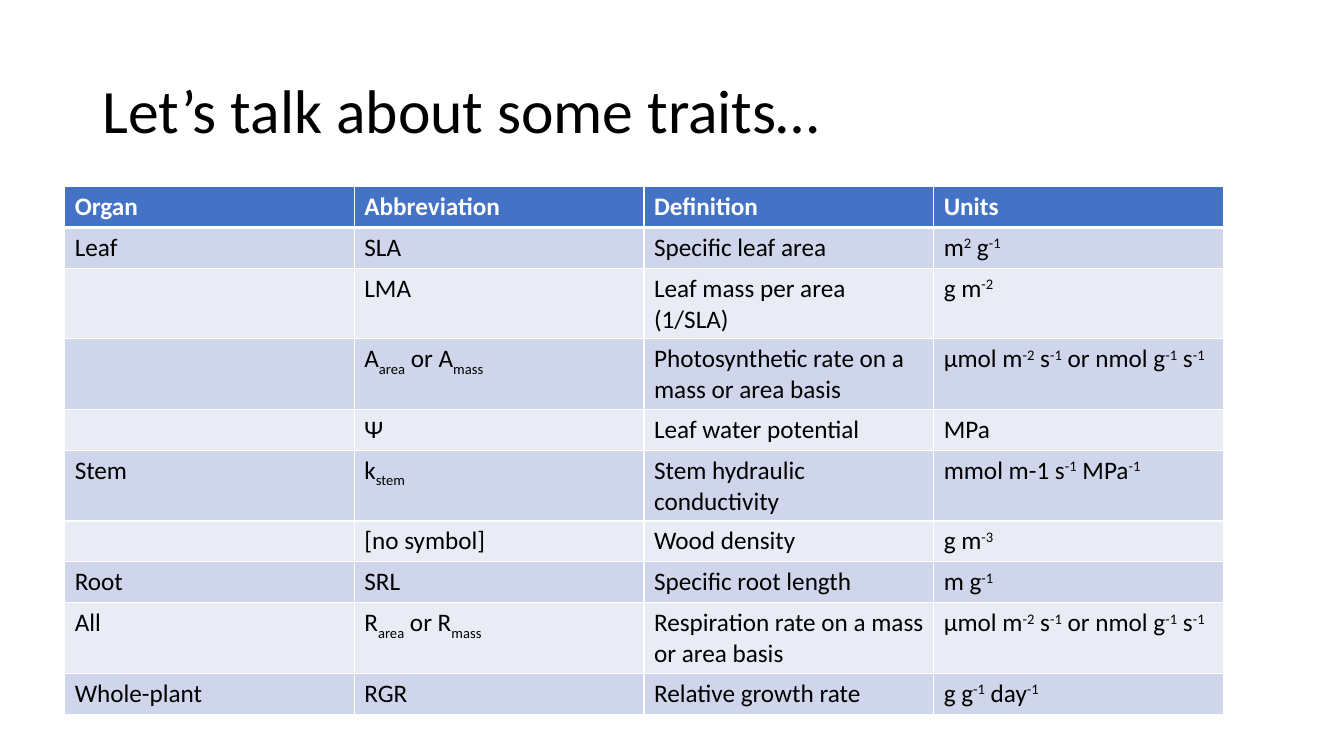
from lxml.etree import SubElement
from pptx import Presentation
from pptx.dml.color import RGBColor
from pptx.enum.text import MSO_ANCHOR
from pptx.oxml.ns import qn
from pptx.util import Cm, Pt

FONT = "Calibri"
COLORS = {
    "text": "000000",
    "header": "4472C4",
    "header_text": "FFFFFF",
    "odd_row": "CFD5EA",
    "even_row": "E9EBF5",
    "border": "FFFFFF",
}
# Baseline shift in thousandths of a percent, by marker
BASELINES = {"^": "30000", "_": "-25000"}

# Runs are split by "|"; "^" starts a superscript and "_" a subscript
RATE_UNITS = "µmol m|^-2| s|^-1| or nmol g|^-1| s|^-1"
TRAITS = [
    ("Organ", "Abbreviation", "Definition", "Units"),
    ("Leaf", "SLA", "Specific leaf area", "m|^2| g|^-1"),
    ("", "LMA", "Leaf mass per area (1/SLA)", "g m|^-2"),
    ("", "A|_area| or A|_mass", "Photosynthetic rate on a mass or area basis", RATE_UNITS),
    ("", "Ψ", "Leaf water potential", "MPa"),
    ("Stem", "k|_stem", "Stem hydraulic conductivity", "mmol m-1 s|^-1| MPa|^-1"),
    ("", "[no symbol]", "Wood density", "g m|^-3"),
    ("Root", "SRL", "Specific root length", "m g|^-1"),
    ("All", "R|_area| or R|_mass", "Respiration rate on a mass or area basis", RATE_UNITS),
    ("Whole-plant", "RGR", "Relative growth rate", "g g|^-1| day|^-1"),
]


def style_paragraph(paragraph, size, color, bold=False):
    font = paragraph.font
    font.name = FONT
    font.size = Pt(size)
    font.bold = bold
    font.color.rgb = RGBColor.from_string(COLORS[color])


def add_marked_runs(paragraph, marked_text):
    for part in filter(None, marked_text.split("|")):
        run = paragraph.add_run()
        baseline = BASELINES.get(part[0])
        run.text = part[1:] if baseline else part
        if baseline:
            run.font._element.set("baseline", baseline)


def add_borders(cell, bottom_width):
    properties = cell._tc.get_or_add_tcPr()
    widths = {"a:lnL": 1, "a:lnR": 1, "a:lnT": 1, "a:lnB": bottom_width}
    for tag, width in widths.items():
        border = SubElement(properties, qn(tag), w=str(Pt(width)))
        fill = SubElement(border, qn("a:solidFill"))
        SubElement(fill, qn("a:srgbClr"), val=COLORS["border"])


def fill_cell(cell, marked_text, row):
    is_header = row == 0
    # Borders come before the fill in the cell properties
    add_borders(cell, 3 if is_header else 1)
    fill_name = "header" if is_header else ("odd_row" if row % 2 else "even_row")
    cell.fill.solid()
    cell.fill.fore_color.rgb = RGBColor.from_string(COLORS[fill_name])
    paragraph = cell.text_frame.paragraphs[0]
    add_marked_runs(paragraph, marked_text)
    style_paragraph(paragraph, 18, "header_text" if is_header else "text", is_header)


def add_title(slide, text):
    title = slide.shapes.add_textbox(Cm(2.33), Cm(1.01), Cm(29.21), Cm(3.68))
    frame = title.text_frame
    frame.word_wrap = True
    frame.vertical_anchor = MSO_ANCHOR.MIDDLE
    heading = frame.paragraphs[0]
    heading.text = text
    heading.line_spacing = 0.9
    style_paragraph(heading, 44, "text")


def add_trait_table(slide, rows):
    column_width, row_height = Cm(7.3), Cm(1.03)
    row_count, column_count = len(rows), len(rows[0])
    traits = slide.shapes.add_table(
        row_count, column_count, Cm(1.63), Cm(4.7),
        column_width * column_count, row_height * row_count,
    ).table
    for row, texts in enumerate(rows):
        for column, text in enumerate(texts):
            fill_cell(traits.cell(row, column), text, row)


def main():
    presentation = Presentation()
    presentation.slide_width = Cm(33.87)
    presentation.slide_height = Cm(19.05)
    slide = presentation.slides.add_slide(presentation.slide_layouts[6])

    # Heading
    add_title(slide, "Let’s talk about some traits…")
    # Plant traits by organ
    add_trait_table(slide, TRAITS)

    presentation.save("out.pptx")


if __name__ == "__main__":
    main()
